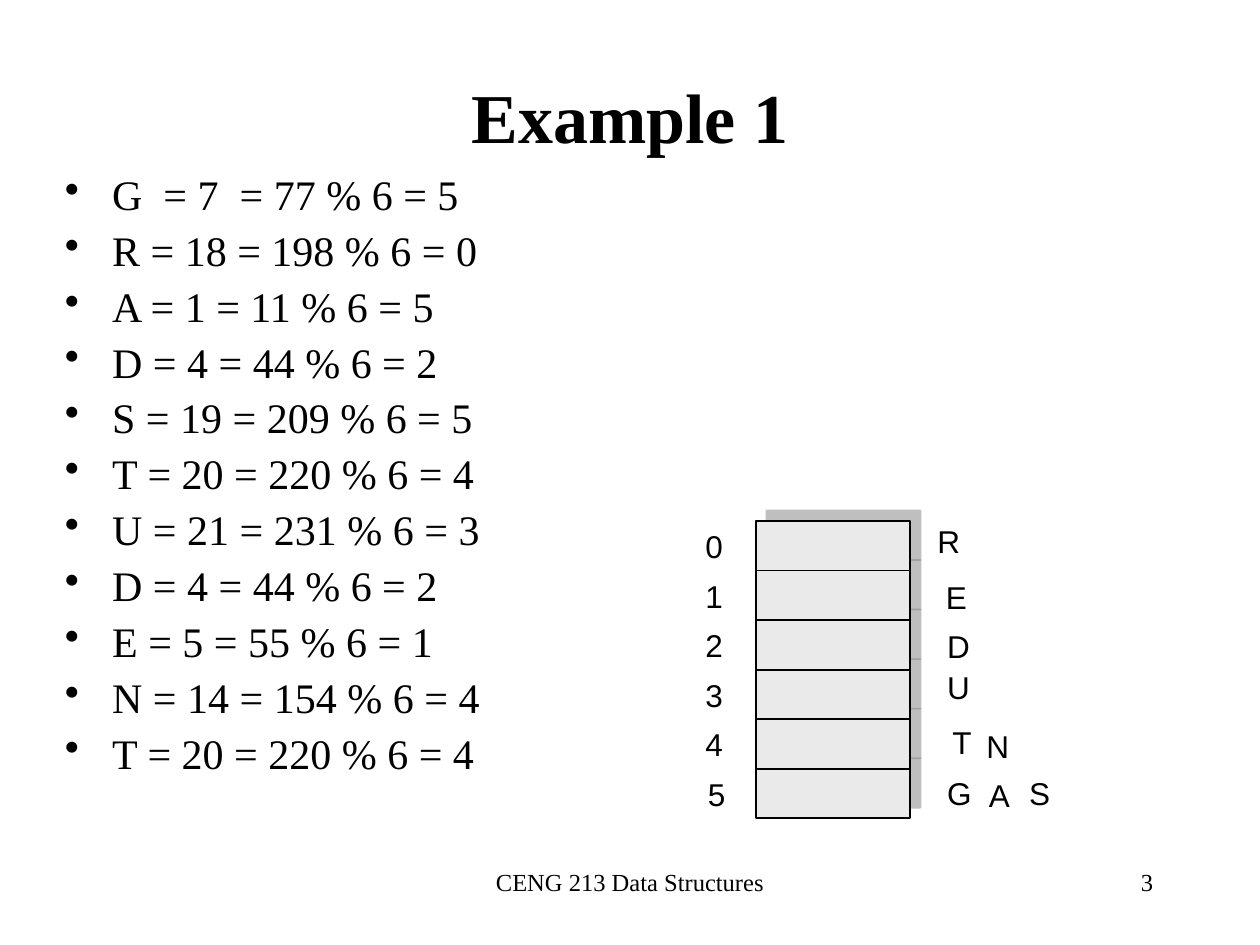
from lxml import etree
from pptx import Presentation
from pptx.dml.color import RGBColor
from pptx.enum.shapes import MSO_SHAPE
from pptx.enum.text import MSO_ANCHOR, MSO_AUTO_SIZE, PP_ALIGN
from pptx.oxml.ns import qn
from pptx.util import Pt

BLACK = RGBColor(0, 0, 0)
CELL_GRAY = RGBColor(0xEA, 0xEA, 0xEA)
SHADOW_GRAY = RGBColor(0x80, 0x80, 0x80)
SERIF, SANS = "Times New Roman", "Arial"
LEFT, CENTER, RIGHT = PP_ALIGN.LEFT, PP_ALIGN.CENTER, PP_ALIGN.RIGHT
TOP, MIDDLE = MSO_ANCHOR.TOP, MSO_ANCHOR.MIDDLE
NO_FIT, GROW = MSO_AUTO_SIZE.NONE, MSO_AUTO_SIZE.SHAPE_TO_FIT_TEXT
RECTANGLE = MSO_SHAPE.RECTANGLE


def apply(target, values):
    for name, value in values.items():
        setattr(target, name, value)


class HashSlide:
    inset = dict(margin_left=Pt(7.2), margin_right=Pt(7.2),
                 margin_top=Pt(3.6), margin_bottom=Pt(3.6))

    def __init__(self, deck):
        self.slide = deck.slides.add_slide(deck.slide_layouts[5])

    def fill_text(self, frame, lines, font, paragraph, **frame_format):
        apply(frame, {**self.inset, **frame_format})
        frame.text = "\n".join(lines)
        for line in frame.paragraphs:
            apply(line, paragraph)
            apply(line.font, font)
            line.font.color.rgb = BLACK
        return frame.paragraphs

    def title(self, text, left, top, width, height):
        heading = self.slide.shapes.title
        apply(heading, dict(left=Pt(left), top=Pt(top),
                            width=Pt(width), height=Pt(height)))
        self.fill_text(heading.text_frame, [text],
                       dict(name=SERIF, size=Pt(40), bold=True),
                       dict(alignment=CENTER), vertical_anchor=MIDDLE,
                       auto_size=NO_FIT, word_wrap=True)

    def box(self, left, top, width, height):
        return self.slide.shapes.add_textbox(
            Pt(left), Pt(top), Pt(width), Pt(height)).text_frame

    def footer(self, text, left, width, alignment):
        self.fill_text(self.box(left, 492, width, 36), [text],
                       dict(name=SERIF, size=Pt(14)),
                       dict(alignment=alignment), word_wrap=True)

    def bullets(self, lines, left, top, width, height):
        paragraphs = self.fill_text(
            self.box(left, top, width, height), lines,
            dict(name=SERIF, size=Pt(24)),
            dict(alignment=LEFT, line_spacing=0.9, space_before=Pt(6)),
            word_wrap=True, vertical_anchor=TOP)
        for paragraph in paragraphs:
            properties = paragraph._p.get_or_add_pPr()
            properties.set("marL", str(Pt(27)))
            properties.set("indent", str(-Pt(27)))
            bullet = etree.Element(qn("a:buChar"), char="•")
            properties.find(qn("a:spcBef")).addnext(bullet)

    def letter(self, text, left, top, width):
        self.fill_text(self.box(left, top, width, 28.8), [text],
                       dict(name=SANS, size=Pt(18)), dict(alignment=LEFT),
                       word_wrap=False, auto_size=GROW)

    def cell(self, left, top, width, height):
        slot = self.slide.shapes.add_shape(
            RECTANGLE, Pt(left), Pt(top), Pt(width), Pt(height))
        slot.fill.solid()
        slot.fill.fore_color.rgb = CELL_GRAY
        slot.line.color.rgb = BLACK
        slot.line.width = Pt(1)
        slot.shadow.inherit = False
        effects = slot._element.spPr.find(qn("a:effectLst"))
        shadow = etree.SubElement(
            effects, qn("a:outerShdw"), blurRad="0", dist=str(Pt(8.5)),
            dir=str(315 * 60000), algn="ctr", rotWithShape="0")
        color = etree.SubElement(shadow, qn("a:srgbClr"), val=str(SHADOW_GRAY))
        etree.SubElement(color, qn("a:alpha"), val="50000")


HASHES = [
    "G  = 7  = 77 % 6 = 5",
    "R = 18 = 198 % 6 = 0",
    "A = 1 = 11 % 6 = 5",
    "D = 4 = 44 % 6 = 2",
    "S = 19 = 209 % 6 = 5",
    "T = 20 = 220 % 6 = 4",
    "U = 21 = 231 % 6 = 3",
    "D = 4 = 44 % 6 = 2",
    "E = 5 = 55 % 6 = 1",
    "N = 14 = 154 % 6 = 4",
    "T = 20 = 220 % 6 = 4",
]
INDEX_LEFTS = [396, 396, 396, 396, 396, 397.4]
STORED_KEYS = [
    ("N", 556.6, 411.8, 27.4), ("G", 534.2, 438.5, 28.1),
    ("R", 528.5, 294.5, 27.4), ("A", 558, 439.9, 25.9),
    ("T", 537.1, 409.7, 25.2), ("S", 581, 438.5, 25.9),
    ("D", 534.2, 355, 27.4), ("U", 534.2, 378, 27.4),
    ("E", 533.5, 326.9, 25.9),
]
TABLE_TOP, ROW_HEIGHT = 297.8, 28.3

deck = Presentation()
deck.slide_width, deck.slide_height = Pt(720), Pt(540)
example = HashSlide(deck)
example.footer("CENG 213 Data Structures", 246, 228, CENTER)
example.footer("3", 516, 150, RIGHT)
example.title("Example 1", 54, 36, 612, 60)
example.bullets(HASHES, 30, 96, 672, 384)
for index, left in enumerate(INDEX_LEFTS):
    example.letter(str(index), left, TABLE_TOP + index * ROW_HEIGHT, 24.4)
for index in reversed(range(len(INDEX_LEFTS))):
    example.cell(432, TABLE_TOP + index * ROW_HEIGHT, 88, ROW_HEIGHT)
for key in STORED_KEYS:
    example.letter(*key)
deck.save("out.pptx")
